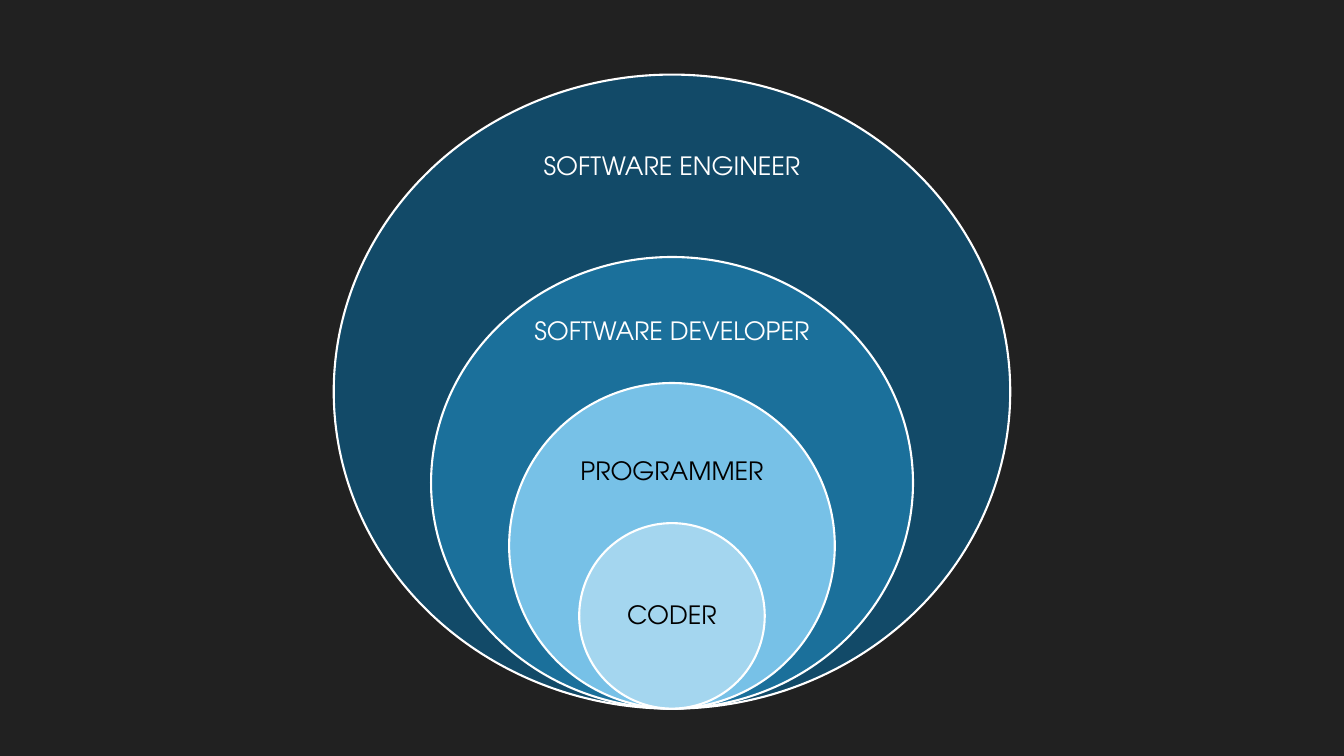
from pptx import Presentation
from pptx.dml.color import RGBColor
from pptx.enum.shapes import MSO_SHAPE as Shape
from pptx.enum.text import MSO_AUTO_SIZE as AutoSize, PP_ALIGN as Align
from pptx.util import Inches, Pt

BACKGROUND = RGBColor(0x21, 0x21, 0x21)
WHITE = RGBColor(0xFF, 0xFF, 0xFF)
BLACK = RGBColor(0x00, 0x00, 0x00)
NAVY = RGBColor(0x12, 0x4A, 0x68)
BLUE = RGBColor(0x1B, 0x70, 0x9B)
SKY = RGBColor(0x77, 0xC1, 0xE7)
PALE = RGBColor(0xA4, 0xD6, 0xEF)

LABEL_FORMAT = {"name": "TeX Gyre Adventor", "size": Pt(18)}
LABEL_HEIGHT = 0.4

# Outermost first: label, width, height, fill, label top, label width, label colour
ROLES = [
    ("SOFTWARE ENGINEER", 6.71, 6.29, NAVY, 1.44, 2.78, WHITE),
    ("SOFTWARE DEVELOPER", 4.78, 4.48, BLUE, 3.08, 2.97, WHITE),
    ("PROGRAMMER", 3.23, 3.23, SKY, 4.47, 2.03, BLACK),
    ("CODER", 1.84, 1.84, PALE, 5.9, 1.1, BLACK),
]


def add_ring(page, center, bottom, width, height, color):
    ring = page.shapes.add_shape(
        Shape.OVAL, Inches(center - width / 2), Inches(bottom - height),
        Inches(width), Inches(height))
    ring.shadow.inherit = False
    ring.fill.solid()
    ring.fill.fore_color.rgb = color
    ring.line.color.rgb = WHITE
    ring.line.width = Pt(1.5)


def add_label(page, center, top, width, text, color):
    box = page.shapes.add_textbox(
        Inches(center - width / 2), Inches(top), Inches(width), Inches(LABEL_HEIGHT))
    box.text_frame.word_wrap = False
    box.text_frame.auto_size = AutoSize.SHAPE_TO_FIT_TEXT
    para = box.text_frame.paragraphs[0]
    para.alignment = Align.CENTER
    span = para.add_run()
    span.text = text
    for name, value in LABEL_FORMAT.items():
        setattr(span.font, name, value)
    span.font.color.rgb = color


def add_nested_roles(page, left, top, width, height):
    """Draw rings that share a center line and touch at the bottom of the box."""
    center, bottom = left + width / 2, top + height
    for _, ring_width, ring_height, fill, *_ in ROLES:
        add_ring(page, center, bottom, ring_width, ring_height, fill)
    # Labels sit above all rings
    for text, _, _, _, label_top, label_width, color in ROLES:
        add_label(page, center, top + label_top - 0.74, label_width, text, color)


def main():
    deck = Presentation()
    deck.slide_width, deck.slide_height = Inches(13.33), Inches(7.5)
    page = deck.slides.add_slide(deck.slide_layouts[6])
    page.background.fill.solid()
    page.background.fill.fore_color.rgb = BACKGROUND
    add_nested_roles(page, 3.31, 0.74, 6.71, 6.29)
    deck.save("out.pptx")


if __name__ == "__main__":
    main()
